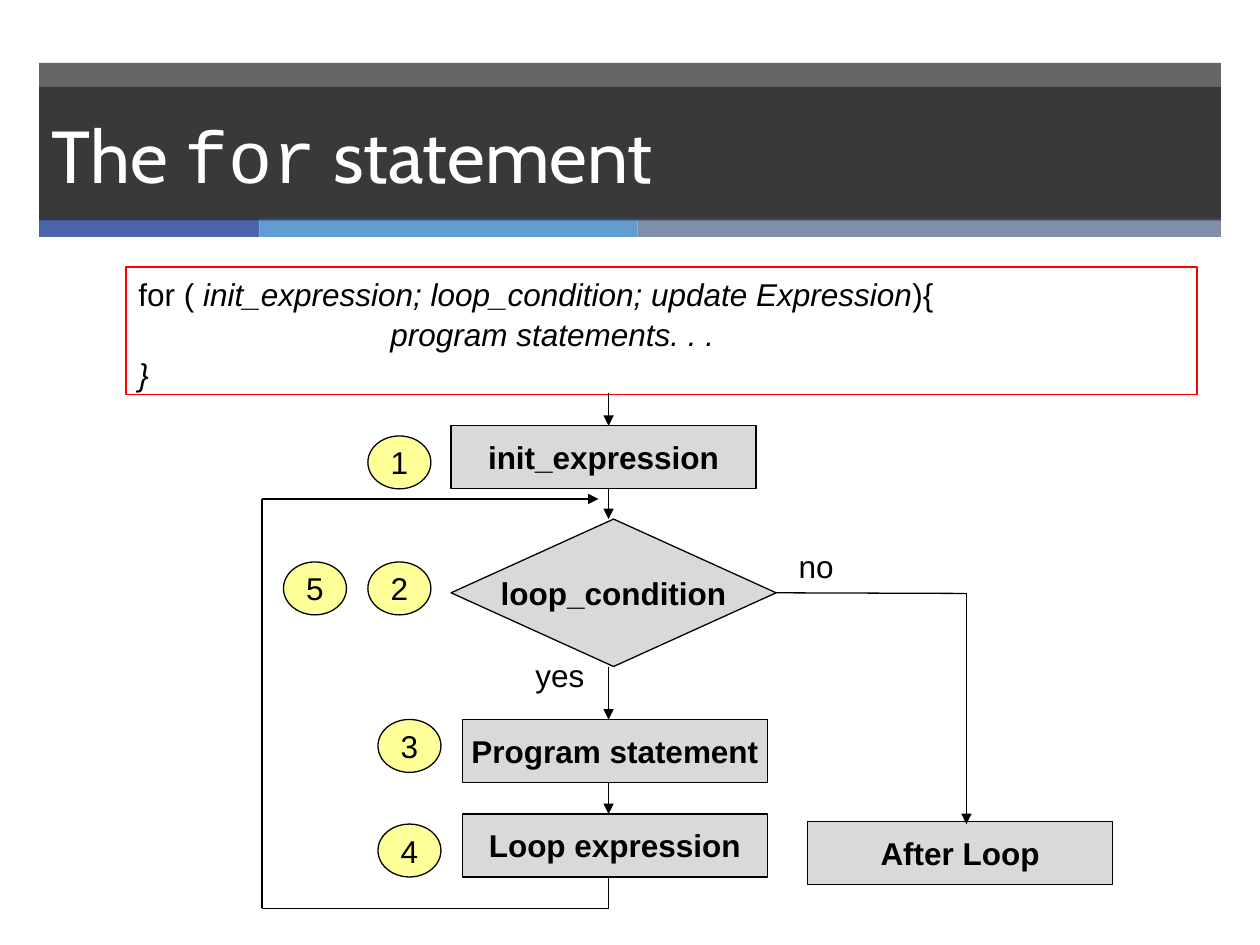
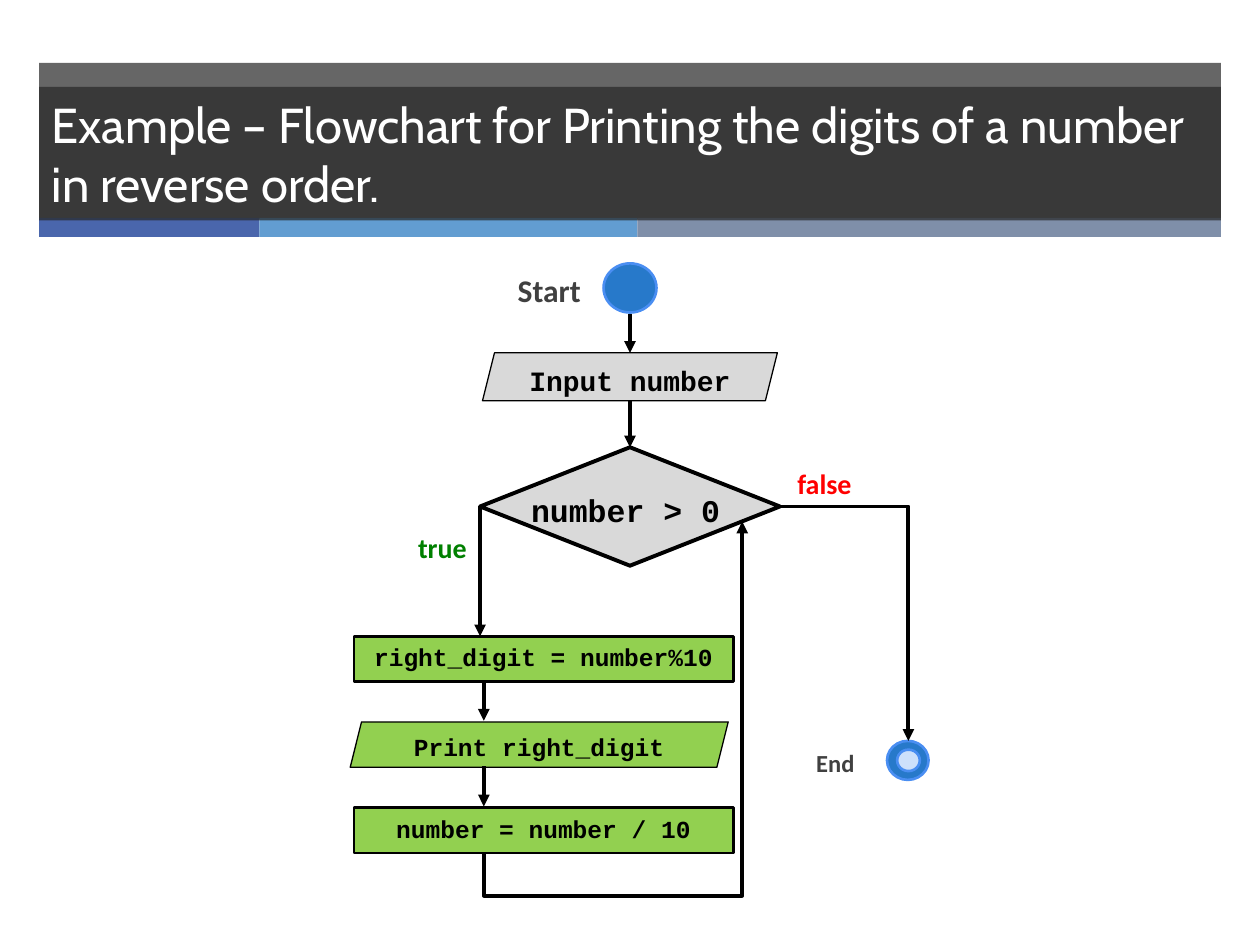
from lxml.etree import SubElement
from pptx import Presentation
from pptx.dml.color import RGBColor
from pptx.enum.shapes import MSO_CONNECTOR, MSO_SHAPE
from pptx.enum.text import MSO_ANCHOR, MSO_AUTO_SIZE, PP_ALIGN
from pptx.oxml.ns import qn
from pptx.util import Emu, Pt

PX = 9144  # 100 px to the inch
BLACK, WHITE, CHARCOAL = "000000", "FFFFFF", "262626"
GREY, YELLOW, GREEN = "D9D9D9", "FFFF99", "92D050"
NODE_BLUE, NODE_EDGE, NODE_CORE = "2779CA", "4A8EF2", "CDE0FB"
LABEL_GREY, TRUE_GREEN, FALSE_RED = "404040", "008000", "FF0000"
STRIPES = [(31, 175, "4A66AC"), (206, 300, "629DD1"), (506, 463, "7F8FA9")]
TITLE_FONT, CODE_FONT, LABEL_FONT = "Cabin", "Courier New", "Calibri"
TOP, LEFT, RIGHT = 0, 1, 3  # connection sites


def px(*lengths):
    return [Emu(length * PX) for length in lengths]


def rgb(colour):
    return RGBColor.from_string(colour)


def set_fill(shape, colour, alpha=None):
    """Fill with a colour, alpha being its opacity in percent."""
    if colour is None:
        shape.fill.background()
        return
    shape.fill.solid()
    shape.fill.fore_color.rgb = rgb(colour)
    if alpha is not None:
        value = shape.element.spPr.find(qn("a:solidFill"))[0]
        SubElement(value, qn("a:alpha")).set("val", str(alpha * 1000))


def set_line(shape, colour, width):
    if colour is None:
        shape.line.fill.background()
        return
    shape.line.color.rgb = rgb(colour)
    shape.line.width = Pt(width)


def write_text(shape, *paragraphs, font="Arial", size=18, colour=BLACK,
               bold=False, italic=False, align=PP_ALIGN.LEFT,
               anchor=MSO_ANCHOR.TOP, wrap=True, spacing=None):
    """Write paragraphs; each is a string or a list of (text, changes) spans."""
    frame = shape.text_frame
    frame.word_wrap = wrap
    frame.auto_size = MSO_AUTO_SIZE.NONE
    frame.vertical_anchor = anchor
    for index, spans in enumerate(paragraphs):
        para = frame.add_paragraph() if index else frame.paragraphs[0]
        para.alignment = align
        if spacing:
            para.line_spacing = spacing
        if isinstance(spans, str):
            spans = [(spans, {})]
        for text, changes in spans:
            span = para.add_run()
            span.text = text
            span.font.name = changes.get("font", font)
            span.font.size = Pt(size)
            span.font.bold = bold
            span.font.italic = changes.get("italic", italic)
            span.font.color.rgb = rgb(colour)


def add_box(page, kind, place, fill, line=BLACK, width=0.75, alpha=None):
    box = page.shapes.add_shape(kind, *px(*place))
    box.shadow.inherit = False
    set_fill(box, fill, alpha)
    set_line(box, line, width)
    return box


def add_step(page, kind, place, text, fill=GREY, width=0.75, **text_format):
    """Draw a flowchart shape with centred text."""
    step = add_box(page, kind, place, fill, width=width)
    write_text(step, text, align=PP_ALIGN.CENTER, **text_format)
    return step


def add_label(page, place, text, **text_format):
    label = page.shapes.add_textbox(*px(*place))
    write_text(label, text, **text_format)


def add_line(page, start, end, width, arrow=True, kind=MSO_CONNECTOR.STRAIGHT):
    line = page.shapes.add_connector(kind, *px(*start, *end))
    set_line(line, BLACK, width)
    properties = line.element.spPr
    if arrow:
        SubElement(properties.find(qn("a:ln")), qn("a:tailEnd")).set("type", "triangle")
    SubElement(properties, qn("a:effectLst"))
    return line


def add_corner(page, start, end, width):
    """Draw an arrow that goes sideways and then down."""
    corner = add_line(page, start, end, width, kind=MSO_CONNECTOR.ELBOW)
    corner.element.spPr.find(qn("a:prstGeom")).set("prst", "bentConnector2")


def add_return(page, start, end, bottom, width):
    """Draw an arrow that goes down to bottom, across, and up to its end."""
    across, rise = end[0] - start[0], start[1] - end[1]
    left = (start[0] + end[0] - rise) // 2
    top = (start[1] + end[1] - across) // 2
    loop = add_line(page, (left, top), (left + rise, top + across), width,
                    kind=MSO_CONNECTOR.ELBOW)
    properties = loop.element.spPr
    frame = properties.find(qn("a:xfrm"))
    for name, value in (("rot", "5400000"), ("flipH", "1"), ("flipV", "1")):
        frame.set(name, value)
    geometry = properties.find(qn("a:prstGeom"))
    adjustments = geometry.find(qn("a:avLst"))
    if adjustments is None:
        adjustments = SubElement(geometry, qn("a:avLst"))
    guide = SubElement(adjustments, qn("a:gd"))
    guide.set("name", "adj1")
    guide.set("fmla", f"val {round((start[1] - bottom) / rise * 100000)}")


def add_page(deck, title, size):
    page = deck.slides.add_slide(deck.slide_layouts[5])
    add_box(page, MSO_SHAPE.RECTANGLE, (31, 50, 938, 124), CHARCOAL, None, alpha=70)
    for left, width, colour in STRIPES:
        add_box(page, MSO_SHAPE.RECTANGLE, (left, 173, width, 15), colour, None)
    heading = page.shapes.title
    heading.left, heading.top, heading.width, heading.height = px(31, 69, 938, 106)
    set_fill(heading, CHARCOAL, 70)
    write_text(heading, title, font=TITLE_FONT, size=size, colour=WHITE,
               anchor=MSO_ANCHOR.MIDDLE)
    heading.element.getparent().append(heading.element)  # in front of the bands
    return page


def add_syntax(page):
    syntax = add_box(page, MSO_SHAPE.RECTANGLE, (100, 212, 850, 101), None, FALSE_RED)
    upright = {"italic": False}
    write_text(syntax,
               [("for ( ", upright),
                ("init_expression; loop_condition; update Expression", {}),
                ("){", upright)],
               "program statements. . .", "}", italic=True, spacing=1.05)
    body = syntax.element.txBody.findall(qn("a:p"))[1]
    body.get_or_add_pPr().set("marL", str(200 * PX))


def build_for_statement(deck):
    page = add_page(deck, [("The ", {}), ("for", {"font": CODE_FONT}),
                           (" statement", {})], 42)
    add_syntax(page)
    centred = {"anchor": MSO_ANCHOR.MIDDLE, "wrap": False}
    for left, top, text in [(358, 338, "init_expression"), (367, 571, "Program statement"),
                            (367, 646, "Loop expression"), (641, 652, "After Loop")]:
        add_step(page, MSO_SHAPE.FLOWCHART_PROCESS, (left, top, 242, 50), text,
                 bold=True, **centred)
    condition = add_step(page, MSO_SHAPE.FLOWCHART_DECISION, (358, 412, 258, 117),
                         "loop_condition", bold=True, **centred)

    spine, loop_left, loop_top, loop_bottom = 483, 208, 396, 721
    for top, bottom in [(312, 338), (388, 412), (529, 571), (621, 646)]:
        add_line(page, (spine, top), (spine, bottom), 0.75)
    loop = [(spine, 696), (spine, loop_bottom), (loop_left, loop_bottom),
            (loop_left, loop_top), (475, loop_top)]
    for start, end in zip(loop, loop[1:]):
        add_line(page, start, end, 0.75, arrow=end == loop[-1])
    exit_line = add_line(page, (616, 471), (767, 471), 0.75, arrow=False)
    exit_line.begin_connect(condition, RIGHT)
    add_line(page, (767, 471), (767, 654), 0.75)

    add_label(page, (415, 516, 59, 40), "yes", wrap=False)
    add_label(page, (624, 429, 48, 40), "no", wrap=False)
    badges = [(292, 346), (292, 446), (300, 571), (300, 654), (225, 446)]
    for number, (left, top) in enumerate(badges, 1):
        add_step(page, MSO_SHAPE.OVAL, (left, top, 50, 42), str(number), YELLOW, **centred)


def build_reverse_digits(deck):
    page = add_page(deck, "Example – Flowchart for Printing the digits of a number "
                          "in reverse order.", 28)
    code = {"font": CODE_FONT, "bold": True}
    add_step(page, MSO_SHAPE.PARALLELOGRAM, (383, 280, 234, 38), "Input number",
             size=16, **code)
    condition = add_box(page, MSO_SHAPE.DIAMOND, (381, 355, 238, 94), GREY, width=2.25)
    add_label(page, (411, 385, 171, 40), "number > 0", align=PP_ALIGN.CENTER,
              wrap=False, **code)
    for kind, place, text, width in [
            (MSO_SHAPE.RECTANGLE, (281, 505, 301, 36), "right_digit = number%10", 1.5),
            (MSO_SHAPE.PARALLELOGRAM, (278, 573, 300, 36), "Print right_digit", 0.75),
            (MSO_SHAPE.RECTANGLE, (281, 641, 301, 36), "number = number / 10", 1.5)]:
        add_step(page, kind, place, text, GREEN, width, size=14, **code)

    for place, fill in [((479, 209, 42, 39), NODE_BLUE), ((704, 588, 33, 31), NODE_BLUE),
                        ((712, 595, 18, 17), NODE_CORE)]:
        add_box(page, MSO_SHAPE.OVAL, place, fill, NODE_EDGE, 1.5)

    add_line(page, (500, 249), (500, 280), 2.25)
    add_line(page, (500, 318), (500, 355), 2.25).end_connect(condition, TOP)
    add_line(page, (381, 402), (381, 505), 2.25).begin_connect(condition, LEFT)
    for top in (540, 608):
        add_line(page, (384, top), (384, top + 32), 2.25)
    add_return(page, (384, 677), (589, 414), 711, 2.25)
    add_corner(page, (618, 402), (721, 588), 2.25)

    for place, text, size, colour in [
            ((401, 210, 95, 40), "Start", 18, LABEL_GREY),
            ((638, 589, 63, 34), "End", 14, LABEL_GREY),
            ((322, 416, 63, 37), "true", 16, TRUE_GREEN),
            ((623, 365, 71, 37), "false", 16, FALSE_RED)]:
        add_label(page, place, text, font=LABEL_FONT, size=size, colour=colour,
                  bold=True, wrap=False)


def main():
    deck = Presentation()
    deck.slide_width, deck.slide_height = px(1000, 750)
    build_for_statement(deck)
    build_reverse_digits(deck)
    deck.save("out.pptx")


if __name__ == "__main__":
    main()
